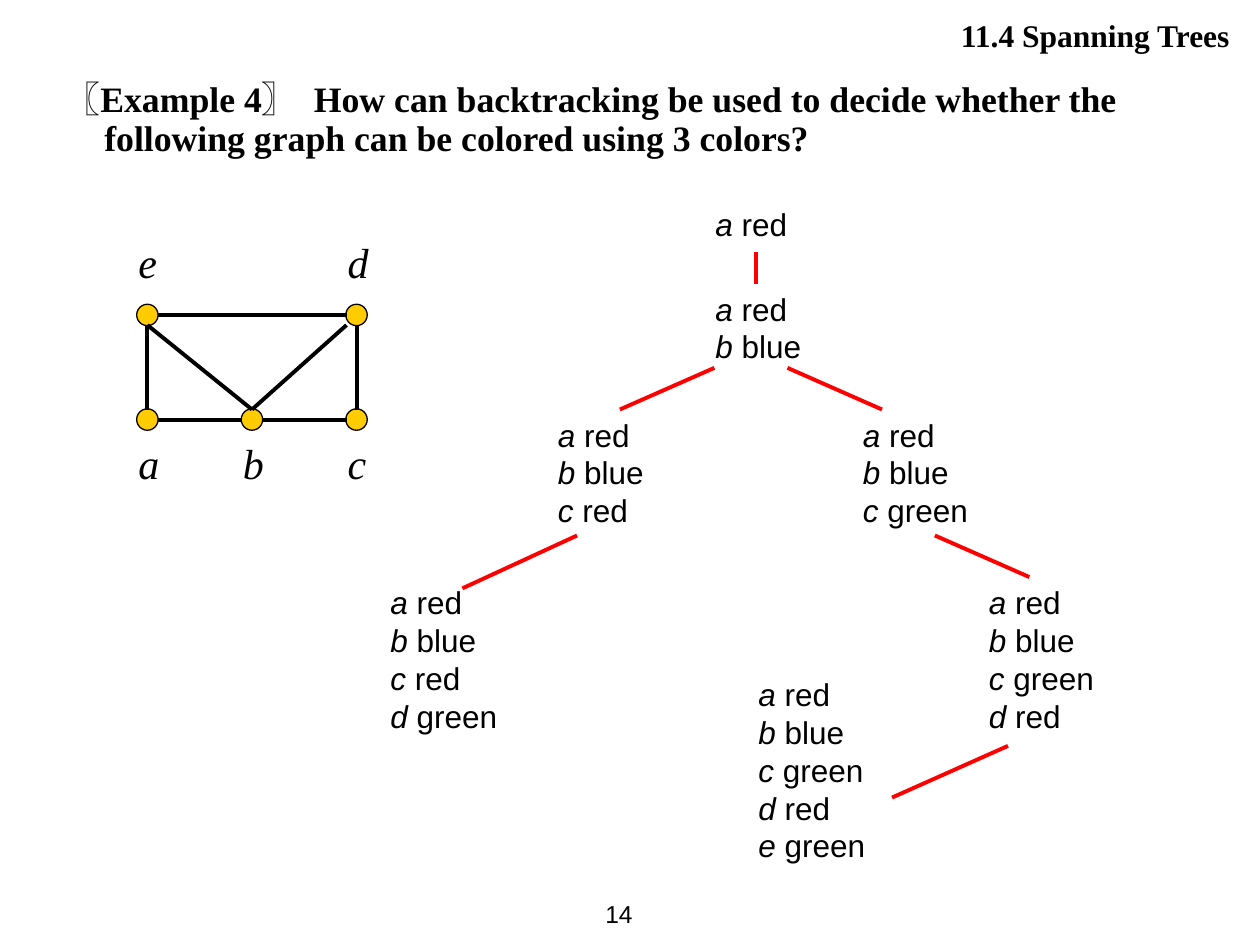
from lxml import etree
from pptx import Presentation
from pptx.dml.color import RGBColor
from pptx.enum import shapes, text
from pptx.oxml.ns import qn
from pptx.util import Inches, Pt

SERIF, SANS = "Times New Roman", "Arial"
BLACK, RED, GOLD = "000000", "FF0000", "FFCC00"
NODE_SIZE = 0.17

STATES = [
    (5.58, 1.58, 0.83, "a red"),
    (5.58, 2.25, 1.08, "a red, b blue"),
    (4.33, 3.25, 1.08, "a red, b blue, c red"),
    (3, 4.58, 1.25, "a red, b blue, c red, d green"),
    (6.75, 3.25, 1.25, "a red, b blue, c green"),
    (7.75, 4.58, 1.25, "a red, b blue, c green, d red"),
    (5.92, 5.31, 1.25, "a red, b blue, c green, d red, e green"),
]
BRANCHES = [
    (6, 2, 6, 2.25),
    (5.67, 2.92, 4.92, 3.25),
    (6.25, 2.92, 7, 3.25),
    (4.58, 4.25, 3.67, 4.67),
    (7.42, 4.25, 8.17, 4.58),
    (8, 5.92, 7.08, 6.33),
]
VERTICES = {
    "e": (1.17, 2.5, 1.83),
    "d": (2.83, 2.5, 1.83),
    "a": (1.17, 3.33, 3.42),
    "b": (2, 3.33, 3.42),
    "c": (2.83, 3.33, 3.42),
}
EDGES = [
    (1.17, 2.58, 1.17, 3.25),
    (1.25, 3.33, 1.92, 3.33),
    (2.08, 3.33, 2.75, 3.33),
    (2.83, 3.25, 2.83, 2.58),
    (1.25, 2.5, 2.75, 2.5),
    (1.17, 2.58, 2, 3.25),
    (2, 3.25, 2.75, 2.58),
]


def color(value):
    return RGBColor.from_string(value)


def style(para, size, font, bold=False, italic=None):
    para.font.size = Pt(size)
    para.font.name = font
    para.font.bold = bold
    para.font.italic = italic
    para.font.color.rgb = color(BLACK)


def add_box(page, left, top, width, height):
    box = page.shapes.add_textbox(Inches(left), Inches(top), Inches(width), Inches(height))
    box.text_frame.word_wrap = True
    return box.text_frame


def add_label(page, place, wording, size, font, bold=False, italic=False):
    frame = add_box(page, *place)
    para = frame.paragraphs[0]
    para.text = wording
    style(para, size, font, bold, italic)
    return frame


def add_state(page, left, top, width, assignments):
    lines = assignments.split(", ")
    frame = add_box(page, left, top, width, 0.1 + 0.3 * len(lines))
    for index, line in enumerate(lines):
        para = frame.add_paragraph() if index else frame.paragraphs[0]
        vertex, shade = line.split()
        span = para.add_run()
        span.text = vertex
        span.font.italic = True
        para.add_run().text = f" {shade}"
        style(para, 18, SANS)


def add_line(page, x1, y1, x2, y2, shade):
    line = page.shapes.add_connector(
        shapes.MSO_CONNECTOR.STRAIGHT, Inches(x1), Inches(y1), Inches(x2), Inches(y2)
    )
    line.line.color.rgb = color(shade)
    line.line.width = Pt(2.25)
    etree.SubElement(line._element.spPr, qn("a:effectLst"))


def add_vertex(page, name, x, y, label_top):
    node = page.shapes.add_shape(
        shapes.MSO_SHAPE.OVAL,
        Inches(x - NODE_SIZE / 2), Inches(y - NODE_SIZE / 2),
        Inches(NODE_SIZE), Inches(NODE_SIZE),
    )
    node.shadow.inherit = False
    node.fill.solid()
    node.fill.fore_color.rgb = color(GOLD)
    node.line.color.rgb = color(BLACK)
    node.line.width = Pt(0.75)
    add_label(page, (x - 0.17, label_top, 0.42, 0.5), name, 24, SERIF, italic=True)


def add_question(page):
    frame = add_label(
        page, (0.35, 0.6, 9.15, 0.79),
        " 〖Example 4〗  How can backtracking be used to decide whether the "
        "following graph can be colored using 3 colors?",
        20.4, SERIF, bold=True,
    )
    para = frame.paragraphs[0]
    para.line_spacing = 0.9
    indent = Inches(0.38)
    properties = para._p.get_or_add_pPr()
    properties.set("marL", str(indent))
    properties.set("indent", str(-indent))


def main():
    deck = Presentation()
    deck.slide_width, deck.slide_height = Inches(10), Inches(7.5)
    page = deck.slides.add_slide(deck.slide_layouts[6])

    number = add_label(page, (4.45, 7, 0.67, 0.5), "14", 14, SANS)
    number.word_wrap = False
    number.vertical_anchor = text.MSO_ANCHOR.MIDDLE
    number.paragraphs[0].alignment = text.PP_ALIGN.RIGHT

    for state in STATES:
        add_state(page, *state)
    for branch in BRANCHES:
        add_line(page, *branch, RED)
    for name, place in VERTICES.items():
        add_vertex(page, name, *place)
    for edge in EDGES:
        add_line(page, *edge, BLACK)

    add_question(page)
    section = add_label(
        page, (3.98, 0.08, 5.94, 0.4), " 11.4 Spanning Trees ", 18, SERIF, bold=True
    )
    section.paragraphs[0].alignment = text.PP_ALIGN.RIGHT
    deck.save("out.pptx")


if __name__ == "__main__":
    main()
